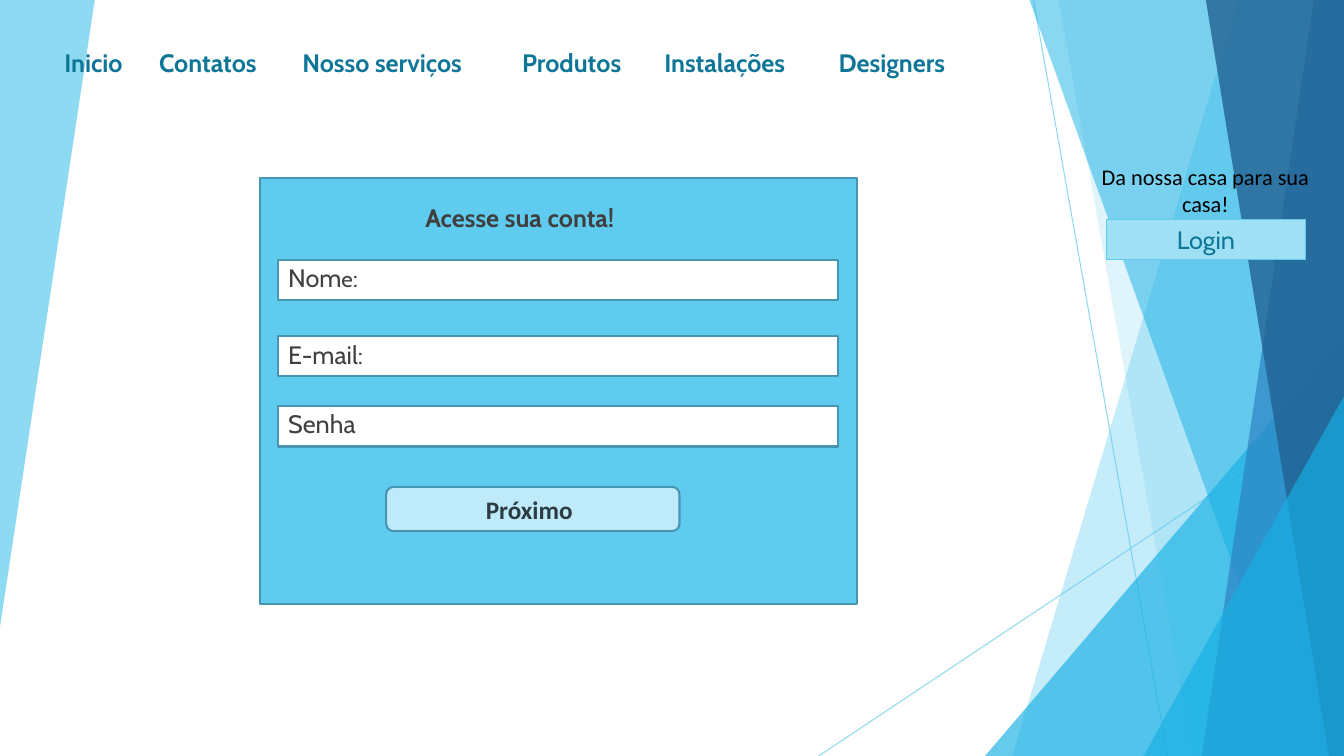
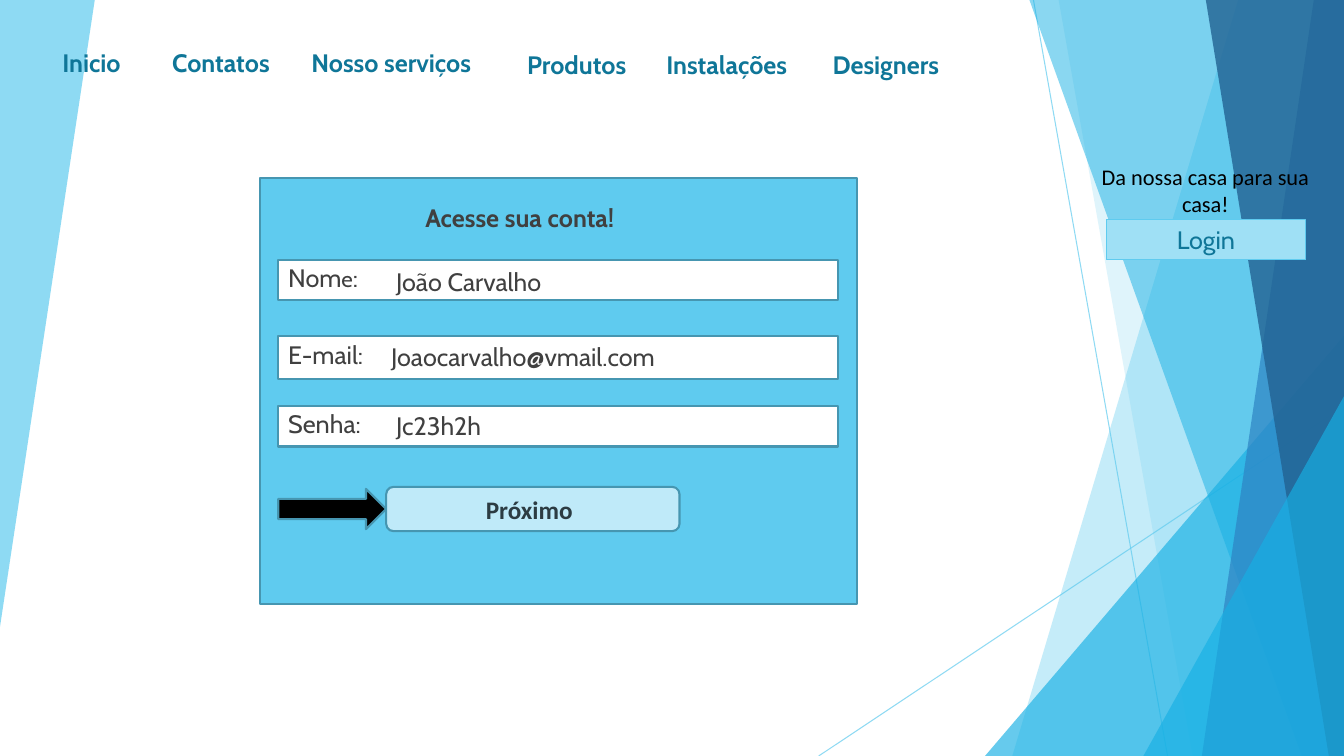
from lxml import etree
from pptx import Presentation
from pptx.dml.color import RGBColor
from pptx.enum.shapes import MSO_CONNECTOR, MSO_SHAPE
from pptx.enum.text import MSO_ANCHOR, PP_ALIGN
from pptx.oxml.ns import qn
from pptx.util import Emu, Pt

RECT = MSO_SHAPE.RECTANGLE
ROUNDED = MSO_SHAPE.ROUNDED_RECTANGLE
ARROW = MSO_SHAPE.RIGHT_ARROW
TRIANGLE = MSO_SHAPE.ISOSCELES_TRIANGLE
STRAIGHT = MSO_CONNECTOR.STRAIGHT
LEFT, CENTER = PP_ALIGN.LEFT, PP_ALIGN.CENTER
MIDDLE = MSO_ANCHOR.MIDDLE

PX = 9144  # 100 px to the inch
WIDTH, HEIGHT = 1333, 750
ROW = 40

COLORS = {
    "sky": "5FCBEF", "cyan": "17B0E4", "blue": "2E83C3", "navy": "226292",
    "nav": "0F7698", "login": "9FE0F5", "outline": "4696B1", "button": "BFEAF9",
    "body": "404040", "button_text": "2C3C43", "white": "FFFFFF", "black": "000000",
}

# Facets from back to front: colour, opacity in %, outline points
LEFT_FACET = ("sky", 70, [(0, 0), (94, 0), (0, 622)])
RAYS = [((1025, 0), (1158, HEIGHT)), ((WIDTH, 403), (812, HEIGHT))]
RAY_OPACITY = 70
# Right facets: colour, opacity, top-left x, bottom-left x; they reach the right edge
RIGHT_FACETS_BACK = [("sky", 36, 1228, 1004), ("sky", 20, 1050, 1183)]
RIGHT_FACETS_FRONT = [("cyan", 50, 1021, 1291), ("blue", 70, 1303, 1192),
                      ("navy", 80, 1196, 1318)]
# Corner triangles: left, top
WIDE_CORNER, NARROW_CORNER = (977, 333), (1134, 393)
CORNER_OPACITY = 66

TAGLINE = "Da nossa casa para sua casa!"
PANEL = (258, 177, 592, 422)
FIELD_LEFT, FIELD_WIDTH = 276, 555
FIELD_TOPS = [258, 333, 403]
LABEL_BOXES = [(255, 154), (332, 107), (400, 107)]  # top, width
NAME_LABEL = [("Nom", 18), ("e", 16), (":", 18)]
EMAIL_LABEL = [("E-mail:", 18)]

SLIDES = [
    {
        "menu": [("Inicio", 54, 42, 95), ("Contatos", 148, 42, 125),
                 ("Nosso serviços", 290, 42, 201), ("Produtos", 508, 42, 125),
                 ("Instalações", 649, 42, 158), ("Designers", 822, 42, 146)],
        "labels": [NAME_LABEL, EMAIL_LABEL, [("Senha", 18)]],
        "field_heights": [ROW, ROW, ROW],
        "answers": [],
        "arrow": False,
    },
    {
        "menu": [("Inicio", 52, 42, 90), ("Contatos", 161, 42, 125),
                 ("Nosso serviços", 299, 42, 201), ("Produtos", 513, 44, 125),
                 ("Instalações", 651, 44, 152), ("Designers", 816, 44, 146)],
        "labels": [NAME_LABEL, EMAIL_LABEL, [("Senha:", 18)]],
        "field_heights": [ROW, 43, ROW],
        "answers": [("João Carvalho", 383, 259, 227),
                    ("Joaocarvalho@vmail.com", 378, 334, 321),
                    ("Jc23h2h", 383, 402, 115)],
        "arrow": True,
    },
]


def rgb(name):
    return RGBColor.from_string(COLORS[name])


def emu(*lengths):
    return [Emu(length * PX) for length in lengths]


def set_opacity(shape, percent):
    """Apply opacity to every solid colour of the shape."""
    for color in shape._element.spPr.iter(qn("a:srgbClr")):
        etree.SubElement(color, qn("a:alpha")).set("val", str(percent * 1000))


def paint(shape, fill, line=None, weight=1.5):
    shape.shadow.inherit = False
    shape.fill.solid()
    shape.fill.fore_color.rgb = rgb(fill)
    if line:
        shape.line.color.rgb = rgb(line)
        shape.line.width = Pt(weight)
    else:
        shape.line.fill.background()


def add_box(slide, kind, box, fill, line="outline", weight=1.5):
    shape = slide.shapes.add_shape(kind, *emu(*box))
    paint(shape, fill, line, weight)
    return shape


def write(shape, runs, color, bold=False, font="Cabin", align=LEFT):
    """Fill a shape with one paragraph of (text, size) runs."""
    frame = shape.text_frame
    frame.word_wrap = True
    paragraph = frame.paragraphs[0]
    paragraph.alignment = align
    for text, size in runs:
        run = paragraph.add_run()
        run.text = text
        run.font.size = Pt(size)
        run.font.name = font
        run.font.bold = bold
        run.font.color.rgb = rgb(color)


def add_text(slide, box, runs, color, **style):
    write(slide.shapes.add_textbox(*emu(*box)), runs, color, **style)


def add_facet(slide, color, opacity, points):
    builder = slide.shapes.build_freeform(*points[0], scale=PX)
    builder.add_line_segments(points[1:], close=True)
    facet = builder.convert_to_shape()
    paint(facet, color)
    set_opacity(facet, opacity)


def add_right_facets(slide, facets):
    for color, opacity, top_x, bottom_x in facets:
        add_facet(slide, color, opacity,
                  [(top_x, 0), (WIDTH, 0), (WIDTH, HEIGHT), (bottom_x, HEIGHT)])


def add_corner(slide, left, top):
    corner = add_box(slide, TRIANGLE, (left, top, WIDTH - left, HEIGHT - top),
                     "cyan", line=None)
    corner.adjustments[0] = 1
    set_opacity(corner, CORNER_OPACITY)


def add_backdrop(slide):
    add_facet(slide, *LEFT_FACET)
    for start, end in RAYS:
        ray = slide.shapes.add_connector(STRAIGHT, *emu(*start, *end))
        ray.line.color.rgb = rgb("sky")
        ray.line.width = Pt(0.75)
        set_opacity(ray, RAY_OPACITY)
        etree.SubElement(ray._element.spPr, qn("a:effectLst"))
    add_right_facets(slide, RIGHT_FACETS_BACK)
    add_corner(slide, *WIDE_CORNER)
    add_right_facets(slide, RIGHT_FACETS_FRONT)
    add_corner(slide, *NARROW_CORNER)


def add_header(slide, menu):
    for entry, left, top, width in menu:
        add_text(slide, (left, top, width, ROW), [(entry, 18)], "nav", bold=True)
    login = add_box(slide, RECT, (1097, 218, 198, ROW), "login", "sky", 0.75)
    login.text_frame.vertical_anchor = MIDDLE
    write(login, [("Login", 18)], "nav", align=CENTER)
    add_text(slide, (1080, 157, 231, 64), [(TAGLINE, 16)], "black",
             font="Calibri", align=CENTER)


def add_form(slide, content):
    add_box(slide, RECT, PANEL, "sky")
    add_text(slide, (412, 196, 234, ROW), [("Acesse sua conta!", 18)], "body", bold=True)
    for top, height in zip(FIELD_TOPS, content["field_heights"]):
        add_box(slide, RECT, (FIELD_LEFT, top, FIELD_WIDTH, height), "white")
    for (top, width), runs in zip(LABEL_BOXES, content["labels"]):
        add_text(slide, (FIELD_LEFT, top, width, ROW), runs, "body")
    add_box(slide, ROUNDED, (383, 483, 291, 44), "button")
    add_text(slide, (472, 485, 107, ROW), [("Próximo", 18)], "button_text",
             bold=True, font="Calibri")
    if content["arrow"]:
        add_box(slide, ARROW, (FIELD_LEFT, 485, 107, ROW), "black")
    for answer, left, top, width in content["answers"]:
        add_text(slide, (left, top, width, ROW), [(answer, 18)], "body")


def main():
    deck = Presentation()
    deck.slide_width, deck.slide_height = emu(WIDTH, HEIGHT)
    blank = deck.slide_layouts[6]
    for content in SLIDES:
        slide = deck.slides.add_slide(blank)
        add_backdrop(slide)
        add_header(slide, content["menu"])
        add_form(slide, content)
    deck.save("out.pptx")


if __name__ == "__main__":
    main()
